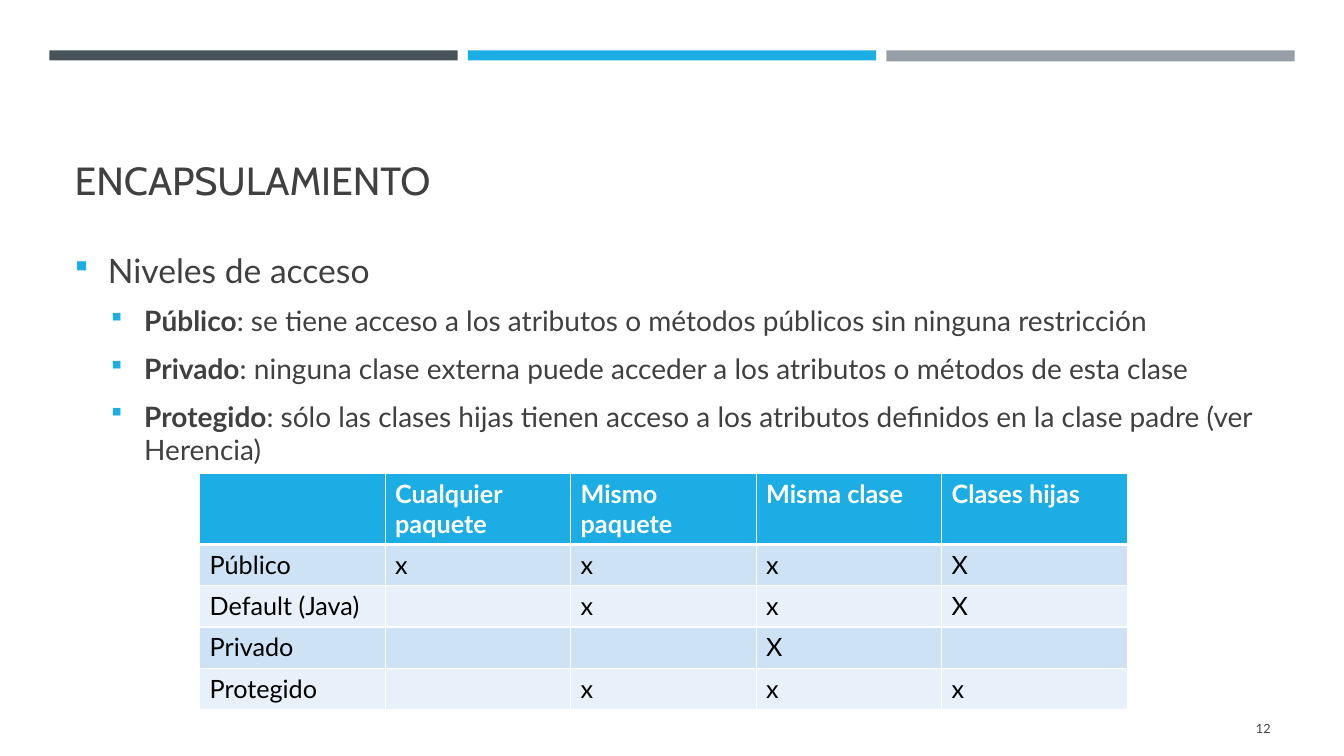
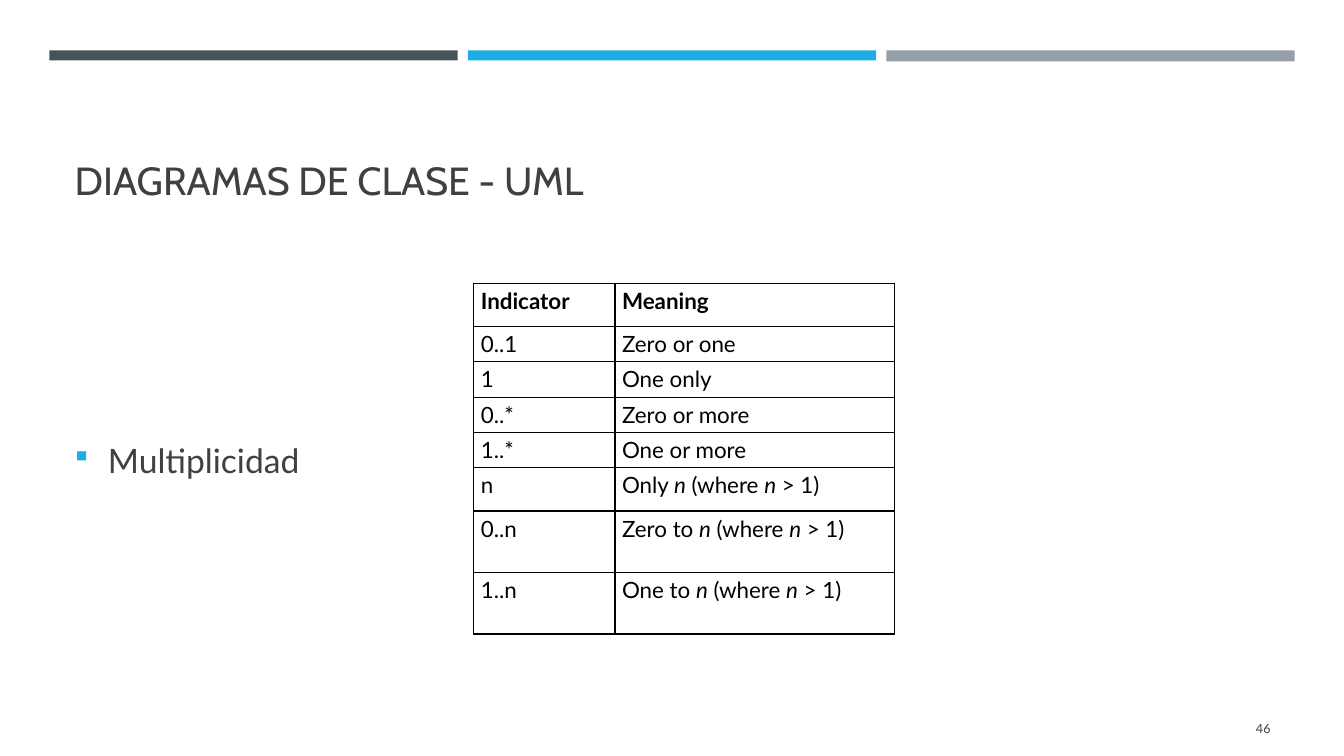
"""Build two slides on encapsulation and class diagram multiplicity."""
import pptx
import pptx.dml.color
import pptx.enum.shapes
import pptx.enum.text
import pptx.oxml
import pptx.oxml.ns
import pptx.util

RGBColor = pptx.dml.color.RGBColor
Pt = pptx.util.Pt
PP_ALIGN = pptx.enum.text.PP_ALIGN
MSO_ANCHOR = pptx.enum.text.MSO_ANCHOR

EMU_PER_PX = 9144
SLATE = RGBColor(0x46, 0x53, 0x59)
BLUE = RGBColor(0x1C, 0xAD, 0xE4)
GREY = RGBColor(0x96, 0x9F, 0xA7)
INK = RGBColor(0x40, 0x40, 0x40)
BLACK = RGBColor(0x00, 0x00, 0x00)
WHITE = RGBColor(0xFF, 0xFF, 0xFF)
PALE_BLUE = RGBColor(0xCD, 0xE3, 0xF5)
PALEST_BLUE = RGBColor(0xE8, 0xF1, 0xFA)

BARS = [(SLATE, 10), (BLUE, 10), (GREY, 11)]
TITLE_FONT = {"name": "Cabin", "size": Pt(28), "bold": False}
NUMBER_FONT = {"name": "Lato", "size": Pt(9)}
LIST_LEVELS = [
    {"size": 24, "line_spacing": 1.1, "indent": 33},
    {"size": 20, "line_spacing": 1.0, "indent": 69},
]
HANGING = 33

ACCESS_LIST = [
    (0, "Niveles de acceso"),
    (1, "_Público_: se tiene acceso a los atributos o métodos públicos sin ninguna restricción"),
    (1, "_Privado_: ninguna clase externa puede acceder a los atributos o métodos de esta clase"),
    (1, "_Protegido_: sólo las clases hijas tienen acceso a los atributos definidos "
        "en la clase padre (ver Herencia)"),
]
ACCESS_ROWS = [
    ["", "Cualquier paquete", "Mismo paquete", "Misma clase", "Clases hijas"],
    ["Público", "x", "x", "x", "X"],
    ["Default (Java)", "", "x", "x", "X"],
    ["Privado", "", "", "X", ""],
    ["Protegido", "", "x", "x", "x"],
]
MULTIPLICITY_ROWS = [
    ["Indicator", "Meaning"],
    ["0..1", "Zero or one"],
    ["1", "One only"],
    ["0..*", "Zero or more"],
    ["1..*", "One or more"],
    ["n", "Only _n_ (where _n_ > 1)"],
    ["0..n", "Zero to _n_ (where _n_ > 1)"],
    ["1..n", "One to _n_ (where _n_ > 1)"],
]


def px(length):
    """Turn whole px into EMU."""
    return pptx.util.Emu(length * EMU_PER_PX)


def set_values(target, values):
    """Set each attribute named in the values."""
    for name, value in values.items():
        setattr(target, name, value)


class Deck:
    """Hold the shared style and the current slide."""

    def __init__(self):
        """Start a wide presentation."""
        self.presentation = pptx.Presentation()
        set_values(self.presentation, {"slide_width": px(1333), "slide_height": px(750)})
        self.slide = None

    def add_slide(self, title, number):
        """Add a slide with its bars, title and number."""
        self.slide = self.presentation.slides.add_slide(self.presentation.slide_layouts[1])
        for index, (color, height) in enumerate(BARS):
            self.bar(49 + 415 * index, 50, 405, height, color)
        self.title(title)
        self.number(number)

    def bar(self, left, top, width, height, color):
        """Draw one plain bar."""
        shape = self.slide.shapes.add_shape(
            pptx.enum.shapes.MSO_SHAPE.RECTANGLE, px(left), px(top), px(width), px(height))
        shape.shadow.inherit = False
        shape.fill.solid()
        shape.fill.fore_color.rgb = color
        shape.line.fill.background()

    def place(self, shape, left, top, width, height, anchor):
        """Move a text shape and return its frame."""
        set_values(shape, {"left": px(left), "top": px(top),
                           "width": px(width), "height": px(height)})
        set_values(shape.text_frame, {"word_wrap": True, "vertical_anchor": anchor,
                                      "auto_size": pptx.enum.text.MSO_AUTO_SIZE.NONE})
        return shape.text_frame

    def add_text(self, paragraph, text, font, color, emphasis="bold"):
        """Add runs, giving the emphasis to parts between underscores."""
        for index, part in enumerate(text.split("_")):
            if part:
                run = paragraph.add_run()
                run.text = part
                set_values(run.font, font)
                run.font.color.rgb = color
                if index % 2:
                    set_values(run.font, {emphasis: True})

    def title(self, text):
        """Fill the title placeholder."""
        frame = self.place(self.slide.shapes.title, 64, 77, 1206, 130, MSO_ANCHOR.BOTTOM)
        frame.paragraphs[0].alignment = PP_ALIGN.LEFT
        self.add_text(frame.paragraphs[0], text, TITLE_FONT, INK)

    def number(self, text):
        """Add the slide number."""
        box = self.slide.shapes.add_textbox(0, 0, 0, 0)
        frame = self.place(box, 1155, 703, 115, 40, MSO_ANCHOR.MIDDLE)
        frame.paragraphs[0].alignment = PP_ALIGN.RIGHT
        self.add_text(frame.paragraphs[0], text, NUMBER_FONT, INK)

    def bullets(self, items, top, height):
        """Fill the body placeholder with a bulleted list."""
        frame = self.place(self.slide.placeholders[1], 64, top, 1206, height, MSO_ANCHOR.MIDDLE)
        for index, (level, text) in enumerate(items):
            paragraph = frame.add_paragraph() if index else frame.paragraphs[0]
            style = LIST_LEVELS[level]
            set_values(paragraph, {
                "level": level, "alignment": PP_ALIGN.LEFT,
                "line_spacing": style["line_spacing"],
                "space_before": Pt(style["size"] / 5), "space_after": Pt(6)})
            self.bullet(paragraph, style["indent"])
            self.add_text(paragraph, text, {"name": "Lato", "size": Pt(style["size"])}, INK)

    def bullet(self, paragraph, indent):
        """Give a paragraph a blue square and a hanging indent."""
        properties = paragraph._p.get_or_add_pPr()
        properties.set("marL", str(px(indent)))
        properties.set("indent", str(-px(HANGING)))
        namespace = pptx.oxml.ns.nsdecls("a")
        for xml in (
            f'<a:buClr {namespace}><a:srgbClr val="{BLUE}"/></a:buClr>',
            f'<a:buSzPct {namespace} val="92000"/>',
            f'<a:buFont {namespace} typeface="Wingdings" charset="2"/>',
            f'<a:buChar {namespace} char="§"/>',
        ):
            properties.append(pptx.oxml.parse_xml(xml))

    def borders(self, cell, color, widths):
        """Draw the four borders of a cell."""
        properties = cell._tc.get_or_add_tcPr()
        for side in "LRTB":
            properties.append(pptx.oxml.parse_xml(
                f'<a:ln{side} {pptx.oxml.ns.nsdecls("a")} w="{Pt(widths.get(side, 1))}">'
                f'<a:solidFill><a:srgbClr val="{color}"/></a:solidFill></a:ln{side}>'))

    def table(self, rows, left, top, columns, heights, size, border,
              header_color=BLACK, header_fill=None, bands=(None,), header_rule=1, margins=None):
        """Add a table with a bold header row."""
        table = self.slide.shapes.add_table(
            len(rows), len(columns), px(left), px(top), px(sum(columns)), px(sum(heights))).table
        table.horz_banding = False
        for column, width in zip(table.columns, columns):
            column.width = px(width)
        for row_index, (texts, height) in enumerate(zip(rows, heights)):
            table.rows[row_index].height = px(height)
            header = row_index == 0
            fill = header_fill if header else bands[(row_index - 1) % len(bands)]
            widths = {0: {"B": header_rule}, 1: {"T": header_rule}}.get(row_index, {})
            font = {"name": "Lato", "size": Pt(size), "bold": header}
            for column_index, text in enumerate(texts):
                cell = table.cell(row_index, column_index)
                set_values(cell, margins or {})
                self.borders(cell, border, widths)
                if fill is None:
                    cell.fill.background()
                else:
                    cell.fill.solid()
                    cell.fill.fore_color.rgb = fill
                paragraph = cell.text_frame.paragraphs[0]
                self.add_text(paragraph, text, font, header_color if header else BLACK, "italic")


def main():
    """Build and save the slides."""
    deck = Deck()

    deck.add_slide("ENCAPSULAMIENTO", "12")
    deck.bullets(ACCESS_LIST, 207, 292)
    deck.table(ACCESS_ROWS, 198, 470, [184] * 5, [69] + [41] * 4, 18, WHITE,
               header_color=WHITE, header_fill=BLUE,
               bands=(PALE_BLUE, PALEST_BLUE), header_rule=3)

    deck.add_slide("DIAGRAMAS DE CLASE - UML", "46")
    deck.bullets([(0, "Multiplicidad")], 256, 397)
    deck.table(MULTIPLICITY_ROWS, 470, 281, [140, 277], [43] + [35] * 4 + [43, 61, 61], 16, BLACK,
               margins={"margin_left": px(7), "margin_right": px(7),
                        "margin_top": px(4), "margin_bottom": px(4)})

    deck.presentation.save("out.pptx")


if __name__ == "__main__":
    main()
